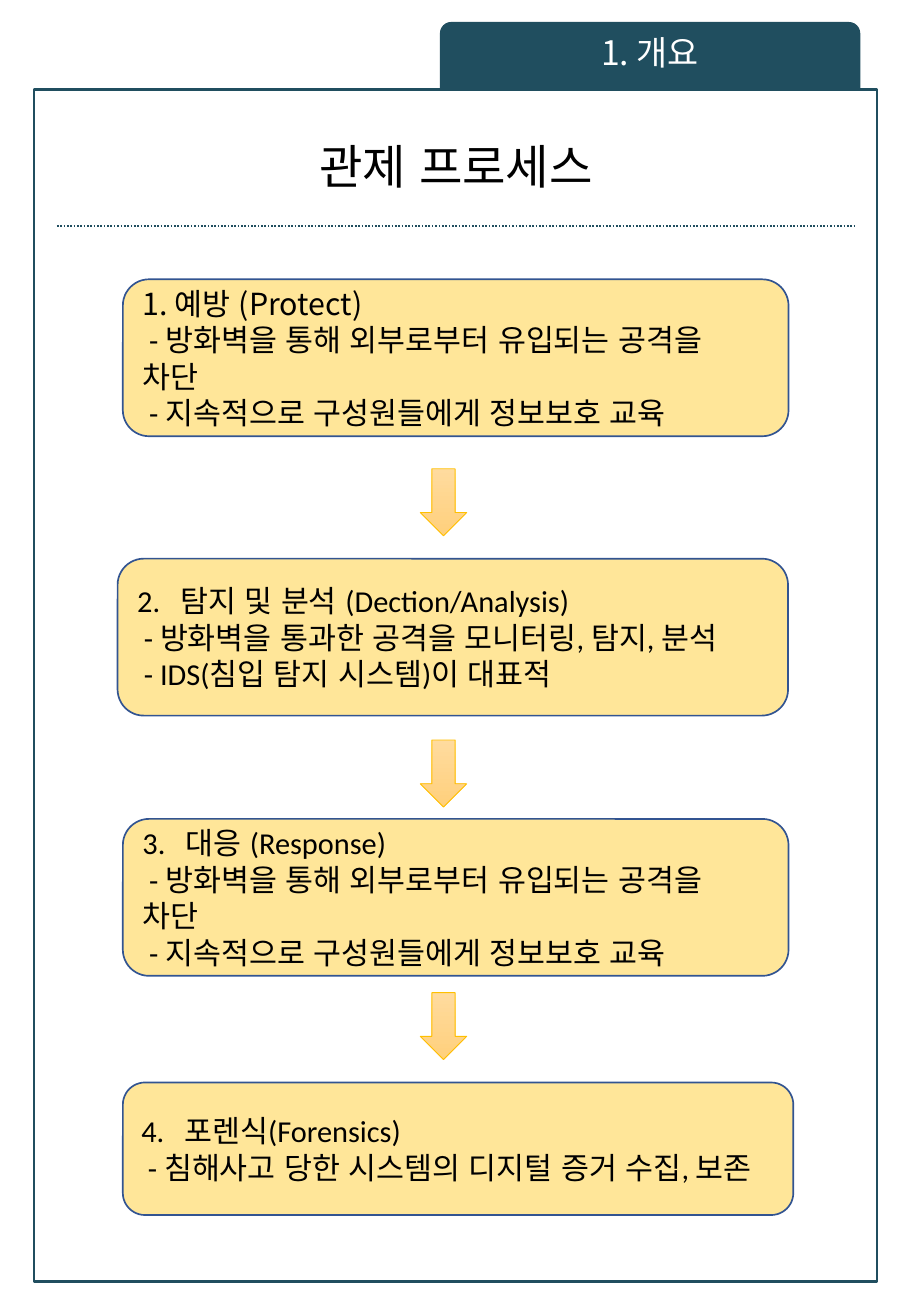
"""Build the one-page security monitoring process slide."""
from lxml import etree
from pptx import Presentation
from pptx.dml.color import RGBColor
from pptx.enum import dml, lang, shapes, text
from pptx.oxml import ns
from pptx.util import Cm, Pt

TAB = "1. 개요"
TITLE = "관제 프로세스"
BLOCK = ["- 방화벽을 통해 외부로부터 유입되는 공격을 차단",
         "- 지속적으로 구성원들에게 정보보호 교육"]
STEPS = [
    ("1. 예방 (Protect)", BLOCK, (2.57, 5.84, 13.92, 3.28)),
    ("2.\t탐지 및 분석 (Dection/Analysis)",
     ["- 방화벽을 통과한 공격을 모니터링, 탐지, 분석",
      "- IDS(침입 탐지 시스템)이 대표적"], (2.46, 11.68, 14.02, 3.28)),
    ("3.\t대응 (Response)", BLOCK, (2.57, 17.12, 13.92, 3.28)),
    ("4.\t포렌식(Forensics)",
     ["- 침해사고 당한 시스템의 디지털 증거 수집, 보존"],
     (2.57, 22.63, 14.02, 2.77)),
]
ARROW_TOPS = [9.8, 15.47, 20.75]
COLORS = {"teal": "204E5F", "white": "FFFFFF", "black": "000000",
          "box": "FFE699", "edge": "325491", "gold": "FFC000",
          "light": "FFDB9E", "deep": "FFD07C"}
KOREAN, LATIN = "Noto Sans CJK KR", "Calibri"
SHAPE = shapes.MSO_SHAPE


def rgb(name):
    return RGBColor.from_string(COLORS[name])


def add_shape(slide, kind, place, fill=None, line=None, width=1):
    sp = slide.shapes.add_shape(kind, *map(Cm, place))
    sp.shadow.inherit = False
    if fill:
        sp.fill.solid()
        sp.fill.fore_color.rgb = rgb(fill)
    if line:
        sp.line.color.rgb = rgb(line)
        sp.line.width = Pt(width)
    else:
        sp.line.fill.background()
    return sp


def write(sp, lines, size, color, fonts, align, spacing=None):
    tf = sp.text_frame
    tf.word_wrap = True
    tf.vertical_anchor = text.MSO_ANCHOR.MIDDLE
    for i, (line, font) in enumerate(zip(lines, fonts)):
        p = tf.paragraphs[0] if i == 0 else tf.add_paragraph()
        p.text = line
        p.alignment = align
        if spacing:
            p.line_spacing = spacing
        props = p._p.get_or_add_pPr()
        if line.startswith("-"):
            props.set("indent", str(Cm(0.14)))
        if "\t" in line:
            tabs = etree.SubElement(props, ns.qn("a:tabLst"))
            etree.SubElement(tabs, ns.qn("a:tab"), pos=str(Cm(0.9)), algn="l")
        p.font.name = font
        p.font.size = Pt(size)
        p.font.color.rgb = rgb(color)
        p.font.language_id = lang.MSO_LANGUAGE_ID.KOREAN
        latin = props.find(ns.qn("a:defRPr")).find(ns.qn("a:latin"))
        latin.addnext(latin.makeelement(ns.qn("a:ea"), {"typeface": KOREAN}))


def add_frame(slide):
    sp = add_shape(slide, SHAPE.RECTANGLE, (0.71, 1.87, 17.63, 24.92),
                   "white", "teal", 1.5)
    fill = sp._element.spPr.find(ns.qn("a:solidFill"))
    etree.SubElement(fill[0], ns.qn("a:alpha"), val="80000")


def add_header(slide):
    center = text.PP_ALIGN.CENTER
    tab = add_shape(slide, SHAPE.ROUND_2_SAME_RECTANGLE,
                    (9.2, 0.46, 8.79, 1.42), "teal")
    tab.text_frame.margin_bottom = Cm(0.27)
    write(tab, [TAB], 20, "white", [KOREAN], center, 0.9)
    title = slide.shapes.add_textbox(*map(Cm, (1.32, 2.57, 16.43, 1.93)))
    write(title, [TITLE], 28, "black", [KOREAN], center, 0.9)
    rule = slide.shapes.add_connector(
        shapes.MSO_CONNECTOR.STRAIGHT, *map(Cm, (1.19, 4.73, 17.86, 4.73)))
    rule.line.color.rgb = rgb("teal")
    rule.line.width = Pt(1)
    rule.line.dash_style = dml.MSO_LINE.ROUND_DOT
    etree.SubElement(rule._element.spPr, ns.qn("a:effectLst"))


def add_step(slide, heading, details, place):
    sp = add_shape(slide, SHAPE.FLOWCHART_ALTERNATE_PROCESS, place,
                   "box", "edge")
    if details is BLOCK:
        sp.text_frame.margin_right = Cm(0.8)
    first = KOREAN if heading == STEPS[0][0] else LATIN
    write(sp, [heading, *details], 18, "black",
          [first] + [LATIN] * len(details), text.PP_ALIGN.LEFT)


def add_arrow(slide, top):
    sp = add_shape(slide, SHAPE.DOWN_ARROW, (8.79, top, 0.97, 1.4),
                   line="gold", width=0.5)
    sp.fill.gradient()
    sp.fill.gradient_angle = 270
    for stop, color, position in zip(sp.fill.gradient_stops,
                                     ("light", "deep"), (0, 1)):
        stop.color.rgb = rgb(color)
        stop.position = position


def main():
    prs = Presentation()
    prs.slide_width, prs.slide_height = Cm(19.05), Cm(27.51)
    slide = prs.slides.add_slide(prs.slide_layouts[6])
    add_frame(slide)
    add_header(slide)
    for step in STEPS:
        add_step(slide, *step)
    for top in ARROW_TOPS:
        add_arrow(slide, top)
    prs.save("out.pptx")


if __name__ == "__main__":
    main()
